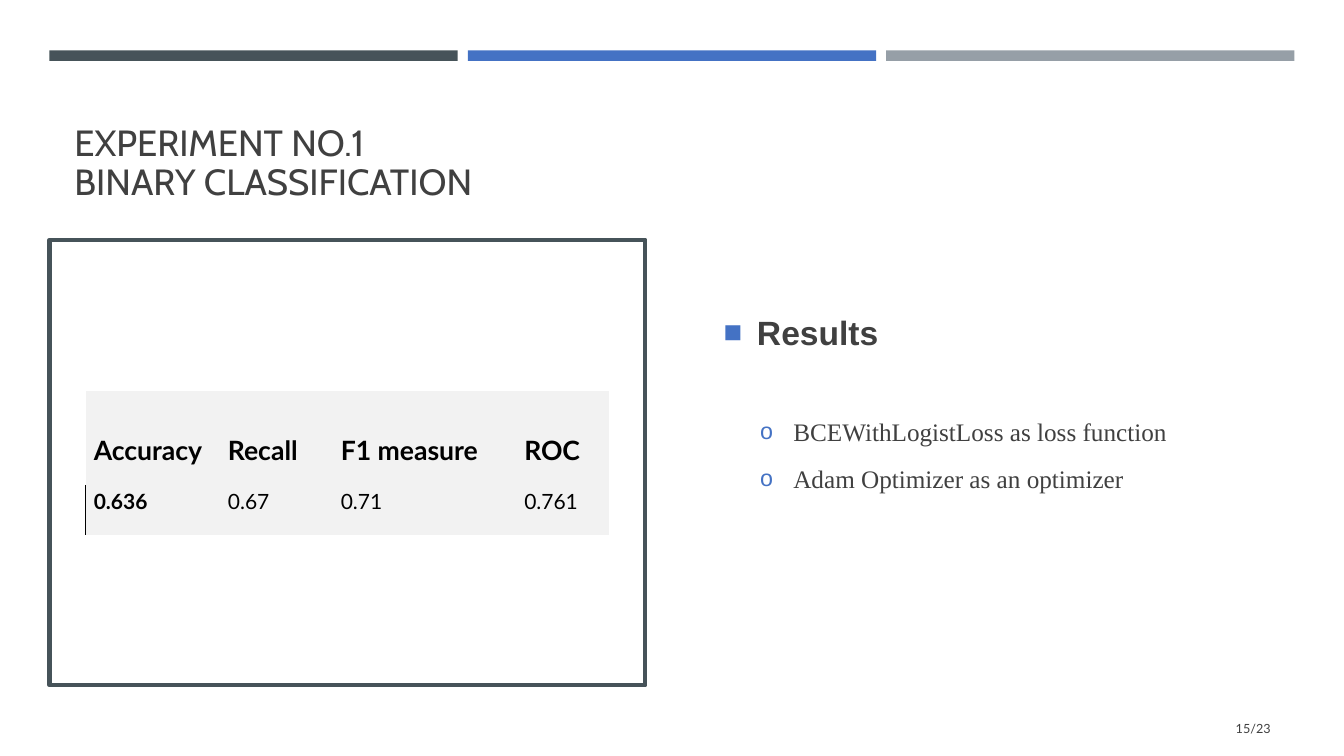
import dataclasses

import pptx
import pptx.dml.color
import pptx.enum.shapes
import pptx.enum.text
import pptx.oxml
import pptx.oxml.ns
import pptx.util

ALIGN = pptx.enum.text.PP_ALIGN
ANCHOR = pptx.enum.text.MSO_ANCHOR
NS = pptx.oxml.ns.nsdecls("a")
PLAIN_TABLE = "{2D5ABB26-0587-4C30-8999-92F81FD0307C}"


@dataclasses.dataclass(frozen=True)
class Theme:
    dark: str = "465359"
    accent: str = "4472C4"
    grey: str = "969FA7"
    text: str = "404040"
    black: str = "000000"
    white: str = "FFFFFF"
    cell: str = "F2F2F2"
    title_font: str = "Cabin"
    heading_font: str = "Arial"
    list_font: str = "Times New Roman"
    plain_font: str = "Lato"
    title: int = 26
    heading: int = 24
    item: int = 18
    table_head: int = 19
    table_value: int = 15
    page: int = 9


def rgb(color):
    return pptx.dml.color.RGBColor.from_string(color)


class SlideBuilder:
    """Draws on one slide; lengths are percentages of the slide's size."""

    def __init__(self, prs, theme):
        self.prs, self.theme = prs, theme
        self.slide = prs.slides.add_slide(prs.slide_layouts[6])

    def x(self, share):
        return round(self.prs.slide_width * share / 100)

    def y(self, share):
        return round(self.prs.slide_height * share / 100)

    def box(self, left, top, width, height):
        return self.x(left), self.y(top), self.x(width), self.y(height)

    def rect(self, area, fill, line=None):
        kind = pptx.enum.shapes.MSO_SHAPE.RECTANGLE
        sp = self.slide.shapes.add_shape(kind, *self.box(*area))
        sp.shadow.inherit = False
        sp.fill.solid()
        sp.fill.fore_color.rgb = rgb(fill)
        if line:
            sp.line.color.rgb = rgb(line)
            sp.line.width = pptx.util.Pt(3)
        else:
            sp.line.fill.background()

    def style(self, p, font, size, color, bold=False):
        p.font.name, p.font.size, p.font.bold = font, pptx.util.Pt(size), bold
        p.font.color.rgb = rgb(color)

    def frame(self, area, anchor):
        tf = self.slide.shapes.add_textbox(*self.box(*area)).text_frame
        tf.word_wrap = True
        tf.vertical_anchor = anchor
        return tf

    def text(self, area, lines, font, size, anchor, align=ALIGN.LEFT, spacing=1.0):
        tf = self.frame(area, anchor)
        for i, line in enumerate(lines):
            p = tf.add_paragraph() if i else tf.paragraphs[0]
            p.text, p.alignment, p.line_spacing = line, align, spacing
            self.style(p, font, size, self.theme.text)

    def bullet(self, p, mark, indent):
        pPr = p._p.get_or_add_pPr()
        hanging = pptx.util.Inches(0.33)
        pPr.set("marL", str(pptx.util.Inches(indent)))
        pPr.set("indent", str(-hanging))
        parts = (
            f'<a:buClr {NS}><a:srgbClr val="{self.theme.accent}"/></a:buClr>',
            f'<a:buSzPct {NS} val="92000"/>',
            f'<a:buFont {NS} typeface="{self.theme.heading_font}"/>',
            f'<a:buChar {NS} char="{mark}"/>',
        )
        defaults = pPr.find(pptx.oxml.ns.qn("a:defRPr"))
        for part in parts:
            defaults.addprevious(pptx.oxml.parse_xml(part))

    def bullets(self, area, heading, items):
        t = self.theme
        tf = self.frame(area, ANCHOR.TOP)
        tf.margin_top = pptx.util.Inches(0.65)
        for i, line in enumerate([heading, *items]):
            p = tf.add_paragraph() if i else tf.paragraphs[0]
            p.text, p.line_spacing = line, 1.1
            p.space_before = pptx.util.Pt((0, 38)[i] if i < 2 else 4)
            p.space_after = pptx.util.Pt(6)
            if i:
                self.style(p, t.list_font, t.item, t.text)
                self.bullet(p, "o", 0.69)
            else:
                self.style(p, t.heading_font, t.heading, t.text, True)
                self.bullet(p, "■", 0.33)

    def table(self, left, top, widths, heights, rows):
        t = self.theme
        area = self.box(left, top, sum(widths), sum(heights))
        table = self.slide.shapes.add_table(len(rows), len(widths), *area).table
        table.first_row = table.horz_banding = False
        table._tbl.tblPr.find(pptx.oxml.ns.qn("a:tableStyleId")).text = PLAIN_TABLE
        for column, width in zip(table.columns, widths):
            column.width = self.x(width)
        for row, height in zip(table.rows, heights):
            row.height = self.y(height)
        for r, values in enumerate(rows):
            for c, value in enumerate(values):
                cell = table.cell(r, c)
                cell.fill.solid()
                cell.fill.fore_color.rgb = rgb(t.cell)
                cell.margin_left, cell.margin_top, cell.margin_right, cell.margin_bottom = map(
                    pptx.util.Inches, (0.08, 0.02, 0.09, 0.18))
                cell.vertical_anchor = ANCHOR.TOP if r else ANCHOR.BOTTOM
                p = cell.text_frame.paragraphs[0]
                p.text, p.alignment, p.line_spacing = value, ALIGN.JUSTIFY, 1.07
                size = t.table_value if r else t.table_head
                self.style(p, t.plain_font, size, t.black, r == 0 or c == 0)
        self.left_border(table.cell(1, 0))

    def left_border(self, cell):
        cell._tc.get_or_add_tcPr().insert(0, pptx.oxml.parse_xml(
            f'<a:lnL {NS} w="{pptx.util.Pt(1)}"><a:solidFill>'
            f'<a:srgbClr val="{self.theme.black}"/></a:solidFill></a:lnL>'))


def main():
    prs = pptx.Presentation()
    prs.slide_width = pptx.util.Inches(13.33)
    prs.slide_height = pptx.util.Inches(7.5)
    t = Theme()
    s = SlideBuilder(prs, t)
    margin = 3.68

    s.text((4.8, 10.27, 90.47, 17.33), ["EXPERIMENT NO.1", "BINARY CLASSIFICATION"],
           t.title_font, t.title, ANCHOR.BOTTOM, spacing=0.9)
    for i, color in enumerate((t.dark, t.accent, t.grey)):
        s.rect((margin + i * 31.13, 6.67, 30.38, 1.4), color)
    s.rect((margin, 31.73, 44.34, 58.93), t.white, t.dark)
    s.bullets((53.11, 32, 43.29, 58.93), "Results",
              ["BCEWithLogistLoss as loss function", "Adam Optimizer as an optimizer"])
    s.table(6.38, 51.73, (9.98, 8.4, 13.65, 6.9), (12.4, 6.67),
            [("Accuracy", "Recall", "F1 measure", "ROC"),
             ("0.636", "0.67", "0.71", "0.761")])
    s.text((86.65, 93.73, 8.63, 5.33), ["15/23"], t.plain_font, t.page,
           ANCHOR.MIDDLE, ALIGN.RIGHT)
    prs.save("out.pptx")


if __name__ == "__main__":
    main()
